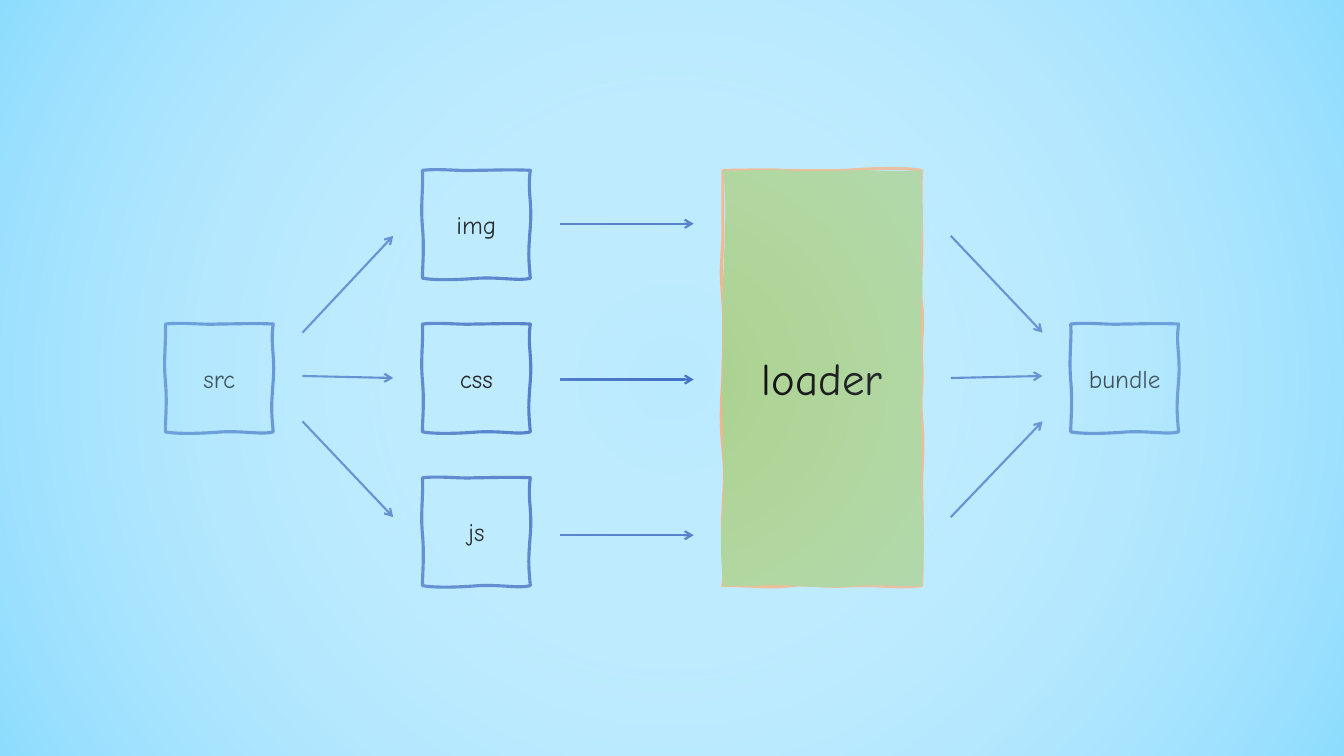
import pptx
import pptx.dml.color
import pptx.enum.shapes
import pptx.enum.text
import pptx.oxml
import pptx.oxml.ns
import pptx.util
from pptx.util import Inches

COLORS = {
    "background": "76D6FF",
    "stroke": "4472C4",
    "loader": "A9D18E",
    "loader_edge": "F4B183",
    "text": "000000",
    "glow_center": "FFFFFF",
    "glow_edge": "76D6FF",
}
FONT = "Comic Neue"
NAMESPACE = pptx.oxml.ns.nsdecls("a")
SQUARE = 1.07
LOADER_SIZE = (1.97, 4.12)
ROW_PITCH = 3.05 / 2
ARROW_PITCH = 3.09 / 2

SQUARE_CURVES = [
    (.18, -.02, .37, .01, .52, 0), (.67, 0, .88, -.01, 1.07, 0),
    (1.04, .21, 1.09, .31, 1.07, .56), (1.05, .82, 1.05, .85, 1.07, 1.07),
    (.96, 1.1, .8, 1.06, .56, 1.07), (.31, 1.09, .11, 1.09, 0, 1.07),
    (0, .95, .02, .78, 0, .56), (-.02, .34, .01, .17, 0, 0),
]
LOADER_EDGE_CURVES = [
    (.16, 0, .47, -.01, .6, 0), (.73, 0, .97, .01, 1.22, 0),
    (1.46, -.02, 1.81, -.03, 1.97, 0), (1.96, .15, 1.97, .48, 1.97, .64),
    (1.98, .81, 1.95, 1.12, 1.97, 1.33), (2, 1.54, 1.96, 1.64, 1.97, 1.89),
    (1.99, 2.15, 1.95, 2.19, 1.97, 2.46), (2, 2.73, 1.97, 2.94, 1.97, 3.15),
    (1.98, 3.35, 1.98, 3.9, 1.97, 4.12), (1.71, 4.15, 1.58, 4.11, 1.29, 4.12),
    (1.01, 4.14, .83, 4.1, .66, 4.12), (.48, 4.15, .21, 4.11, 0, 4.12),
    (.03, 3.9, -.02, 3.65, 0, 3.4), (.01, 3.14, .03, 3.03, 0, 2.75),
    (-.03, 2.47, -.01, 2.22, 0, 2.06), (0, 1.9, .02, 1.63, 0, 1.29),
    (-.03, .95, -.01, .95, 0, .68), (0, .42, 0, .2, 0, 0),
]
LOADER_FILL_CURVES = [
    (.23, .01, .49, -.02, .64, 0), (.78, .01, .96, .01, 1.24, 0),
    (1.52, -.01, 1.63, .02, 1.97, 0), (1.96, .31, 1.99, .4, 1.97, .64),
    (1.95, .88, 1.99, 1.07, 1.97, 1.25), (1.96, 1.43, 1.97, 1.64, 1.97, 1.85),
    (1.98, 2.07, 1.96, 2.37, 1.97, 2.54), (1.99, 2.71, 1.96, 2.96, 1.97, 3.23),
    (1.99, 3.5, 2, 3.69, 1.97, 4.12), (1.78, 4.13, 1.57, 4.11, 1.35, 4.12),
    (1.14, 4.14, 1.01, 4.14, .7, 4.12), (.38, 4.11, .34, 4.13, 0, 4.12),
    (-.02, 3.79, -.03, 3.68, 0, 3.35), (.02, 3.02, 0, 2.84, 0, 2.58),
    (-.01, 2.33, -.01, 2.19, 0, 1.81), (.01, 1.43, -.01, 1.37, 0, 1.12),
    (.01, .89, .05, .25, 0, 0),
]


def color(name):
    """Return the named colour."""
    return pptx.dml.color.RGBColor.from_string(COLORS[name])


def curved_outline(shape, curves, attributes):
    """Return a closed path of cubic curves that starts at the shape's corner."""
    segments = ""
    for curve in curves:
        points = "".join(f'<a:pt x="{Inches(x)}" y="{Inches(y)}"/>'
                         for x, y in zip(curve[::2], curve[1::2]))
        segments += f"<a:cubicBezTo>{points}</a:cubicBezTo>"
    return pptx.oxml.parse_xml(
        f'<a:path {NAMESPACE} w="{shape.width}" h="{shape.height}" {attributes}>'
        f'<a:moveTo><a:pt x="0" y="0"/></a:moveTo>{segments}<a:close/></a:path>')


def add_sketch(shapes, box, outlines, line, fill=None):
    """Add a hand-drawn shape whose outlines are (curves, path attributes) pairs."""
    left, top, width, height = map(Inches, box)
    builder = shapes.build_freeform(left, top)
    builder.add_line_segments(
        [(left + width, top), (left + width, top + height), (left, top + height)])
    shape = builder.convert_to_shape()
    outline_list = shape._element.spPr.find(".//" + pptx.oxml.ns.qn("a:pathLst"))
    outline_list.clear()
    for curves, attributes in outlines:
        outline_list.append(curved_outline(shape, curves, attributes))
    shape.shadow.inherit = False
    if fill:
        shape.fill.solid()
        shape.fill.fore_color.rgb = color(fill)
    else:
        shape.fill.background()
    shape.line.color.rgb = color(line)
    shape.line.width = pptx.util.Pt(2.25)
    return shape


def add_label(shape, text, size):
    """Write centred text in a shape."""
    text_frame = shape.text_frame
    text_frame.text = text
    text_frame.word_wrap = False
    text_frame.vertical_anchor = pptx.enum.text.MSO_ANCHOR.MIDDLE
    paragraph = text_frame.paragraphs[0]
    paragraph.alignment = pptx.enum.text.PP_ALIGN.CENTER
    font = paragraph.runs[0].font
    font.name = FONT
    font.size = pptx.util.Pt(size)
    font.color.rgb = color("text")


def add_square(shapes, left, top, text):
    """Add a labelled hand-drawn square."""
    square = add_sketch(shapes, (left, top, SQUARE, SQUARE), [(SQUARE_CURVES, "")], "stroke")
    add_label(square, text, 18)


def add_loader(shapes, left, top):
    """Add the tall loader block."""
    outlines = [(LOADER_EDGE_CURVES, 'fill="none"'), (LOADER_FILL_CURVES, 'stroke="0"')]
    block = add_sketch(shapes, (left, top, *LOADER_SIZE), outlines, "loader_edge", "loader")
    add_label(block, "loader", 32)


def add_arrows(shapes, left, right, start_heights, end_heights):
    """Add arrows from left to right between paired heights."""
    for start, end in zip(start_heights, end_heights):
        connector = shapes.add_connector(
            pptx.enum.shapes.MSO_CONNECTOR.STRAIGHT,
            Inches(left), Inches(start), Inches(right), Inches(end))
        connector.line.color.rgb = color("stroke")
        connector.line.width = pptx.util.Pt(1.5)
        properties = connector._element.spPr
        properties.find(pptx.oxml.ns.qn("a:ln")).append(
            pptx.oxml.parse_xml(f'<a:tailEnd {NAMESPACE} type="arrow"/>'))
        properties.append(pptx.oxml.parse_xml(f"<a:effectLst {NAMESPACE}/>"))


def add_pipeline(slide, left, top):
    """Lay out the flow from source through loader to bundle."""
    shapes = slide.shapes.add_group_shape().shapes
    middle = top + ROW_PITCH
    near = [top + offset for offset in (1.61, 2.04, 2.49)]
    far = [top + offset for offset in (.65, 2.06, 3.44)]
    rows = [top + .53 + row * ARROW_PITCH for row in range(3)]
    add_square(shapes, left, middle, "src")
    for row, text in enumerate(("img", "css", "js")):
        add_square(shapes, left + 2.55, top + row * ROW_PITCH, text)
    add_square(shapes, left + 8.98, middle, "bundle")
    add_arrows(shapes, left + 1.36, left + 2.26, near, far)
    add_arrows(shapes, left + 3.91, left + 5.24, rows, rows)
    add_loader(shapes, left + 5.53, top)
    add_arrows(shapes, left + 7.79, left + 8.7, far, near)


def add_glow(slide, left, top, width, height):
    """Cover a box with a radial tint that is clear in the middle."""
    shape = slide.shapes.add_shape(
        pptx.enum.shapes.MSO_SHAPE.RECTANGLE,
        Inches(left), Inches(top), Inches(width), Inches(height))
    shape.shadow.inherit = False
    shape.line.fill.background()
    stops = "".join(
        f'<a:gs pos="{position}"><a:srgbClr val="{COLORS[name]}">'
        f'<a:alpha val="{alpha}"/></a:srgbClr></a:gs>'
        for position, name, alpha in ((0, "glow_center", 0), (100000, "glow_edge", 65000)))
    gradient = pptx.oxml.parse_xml(
        f'<a:gradFill {NAMESPACE} rotWithShape="1"><a:gsLst>{stops}</a:gsLst>'
        '<a:path path="circle"><a:fillToRect l="50000" t="50000" r="50000" b="50000"/>'
        '</a:path></a:gradFill>')
    shape._element.spPr.find(pptx.oxml.ns.qn("a:prstGeom")).addnext(gradient)


def set_background(slide):
    """Give the slide a half-transparent sky colour."""
    fill = slide.background.fill
    fill.solid()
    fill.fore_color.rgb = color("background")
    slide._element.find(".//" + pptx.oxml.ns.qn("a:srgbClr")).append(
        pptx.oxml.parse_xml(f'<a:alpha {NAMESPACE} val="50000"/>'))


presentation = pptx.Presentation()
presentation.slide_width = Inches(13.33)
presentation.slide_height = Inches(7.5)
slide = presentation.slides.add_slide(presentation.slide_layouts[6])
set_background(slide)
add_pipeline(slide, 1.64, 1.69)
add_glow(slide, 0, .01, 13.33, 7.5)
presentation.save("out.pptx")
